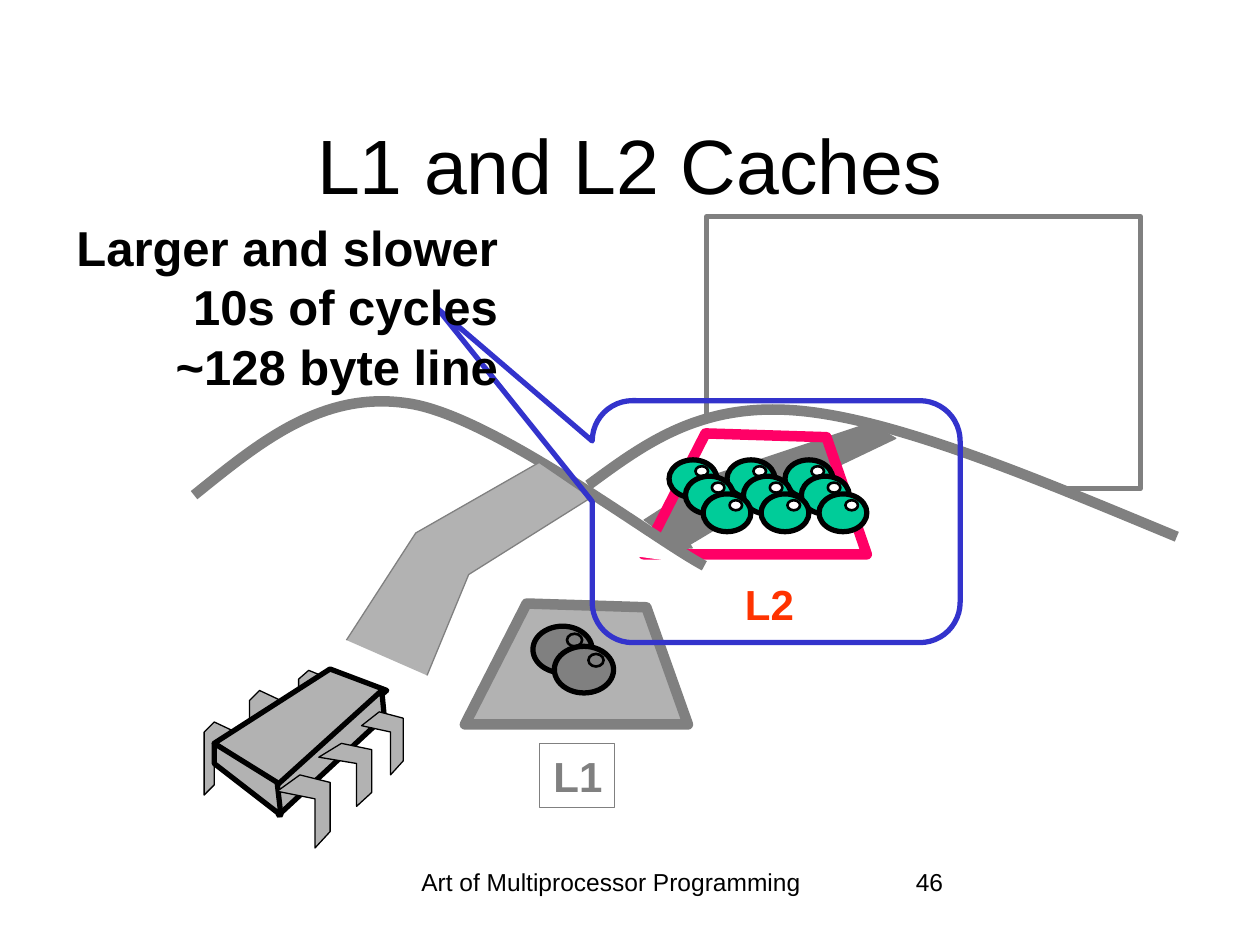
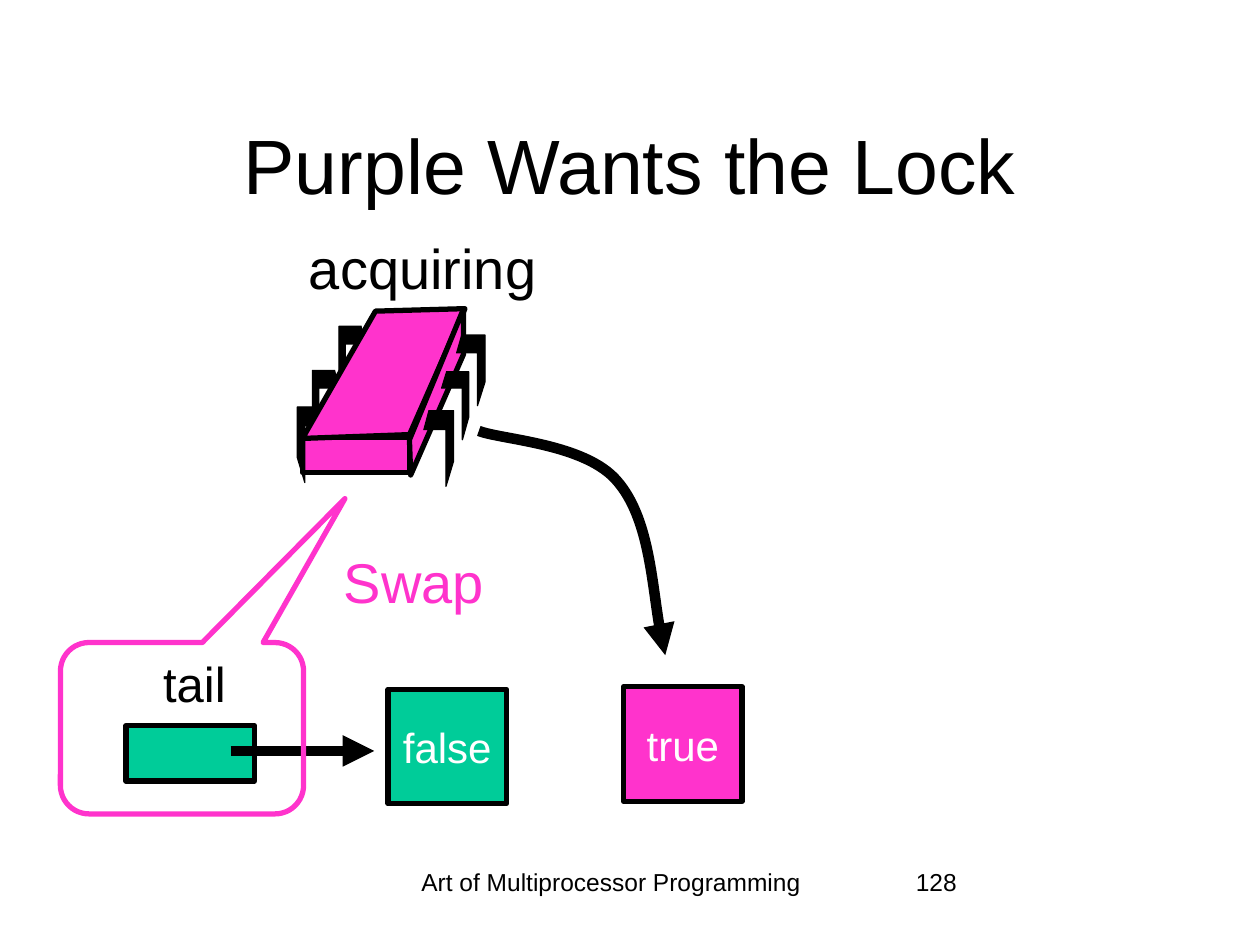
from dataclasses import dataclass
from typing import Any, NamedTuple

from lxml import etree
from pptx import Presentation
from pptx.dml.color import RGBColor
from pptx.enum.shapes import MSO_CONNECTOR, MSO_SHAPE
from pptx.enum.text import MSO_ANCHOR, MSO_AUTO_SIZE, PP_ALIGN
from pptx.oxml.ns import qn
from pptx.util import Pt

EMU_PER_PX = 9144
FONT = "Arial"
LINE_RATIO = 1.215
TITLE_ONLY = 5
LEFT, CENTER, RIGHT = PP_ALIGN.LEFT, PP_ALIGN.CENTER, PP_ALIGN.RIGHT
TOP, MIDDLE = MSO_ANCHOR.TOP, MSO_ANCHOR.MIDDLE
RECTANGLE, ELLIPSE = MSO_SHAPE.RECTANGLE, MSO_SHAPE.OVAL
CALLOUT = MSO_SHAPE.ROUNDED_RECTANGULAR_CALLOUT
STRAIGHT = MSO_CONNECTOR.STRAIGHT
COLORS = {
    "black": "000000",
    "white": "FFFFFF",
    "gray": "808080",
    "silver": "B2B2B2",
    "green": "00CC99",
    "purple": "FF33CC",
    "crimson": "FF0066",
    "red": "FF3300",
    "blue": "3333CC",
}

Points = list[tuple[int, int]]


class Box(NamedTuple):
    left: int
    top: int
    width: int
    height: int


class Leg(NamedTuple):
    x: int
    y: int
    x_scale: float = 1
    y_scale: float = 1


@dataclass(frozen=True)
class Chip:
    color: str
    leg_color: str
    legs_closed: bool
    back_leg: Points
    back_legs: list[Leg]
    faces: list[Points]
    front_leg: Points
    front_legs: list[Leg]


@dataclass(frozen=True)
class Ball:
    box: Box
    shine: Box
    color: str
    shine_color: str


SILVER_CHIP = Chip(
    color="silver",
    leg_color="silver",
    legs_closed=True,
    back_leg=[(0, 0), (-17, -8), (-25, 0), (-25, 50), (-17, 42), (-17, 9), (0, 17)],
    back_legs=[Leg(187, 581), Leg(223, 556), Leg(262, 539, 1, 0.84)],
    faces=[
        [(262, 531), (170, 590), (221, 624), (307, 548)],
        [(303, 548), (220, 623), (221, 647), (305, 569)],
        [(170, 590), (170, 606), (223, 647), (220, 621)],
    ],
    front_leg=[(0, 0), (-18, 13), (12, 19), (12, 58), (24, 45), (24, 6)],
    front_legs=[Leg(238, 615), Leg(271, 590, 1, 0.86), Leg(301, 565, 0.78, 0.86)],
)
PURPLE_LEG = [(0, 0), (20, 0), (20, 40), (14, 60), (14, 15), (-4, 15)]
PURPLE_CHIP = Chip(
    color="purple",
    leg_color="black",
    legs_closed=False,
    back_leg=PURPLE_LEG,
    back_legs=[Leg(255, 323, -0.95), Leg(266, 294, -0.9, 0.9), Leg(287, 259, -0.9, 0.93)],
    faces=[
        [(240, 348), (325, 345), (369, 245), (298, 247)],
        [(368, 245), (368, 281), (326, 377), (325, 349)],
    ],
    front_leg=PURPLE_LEG,
    front_legs=[Leg(340, 326), Leg(354, 295, 0.9, 0.9), Leg(366, 266, 0.95, 0.93)],
)


def px(value: int) -> int:
    return value * EMU_PER_PX


def rgb(color: str) -> RGBColor:
    return RGBColor.from_string(COLORS[color])


def write_text(shape: Any, text: str, *, size: int, color: str = "black",
               bold: bool = False, align: Any = LEFT, anchor: Any = TOP,
               wrap: bool = False) -> None:
    frame = shape.text_frame
    frame.text = text
    frame.word_wrap = wrap
    frame.auto_size = MSO_AUTO_SIZE.NONE
    frame.vertical_anchor = anchor
    for paragraph in frame.paragraphs:
        paragraph.alignment = align
        paragraph.line_spacing = Pt(size * LINE_RATIO)
        paragraph.font.name = FONT
        paragraph.font.size = Pt(size)
        paragraph.font.bold = bold
        paragraph.font.color.rgb = rgb(color)


def add_text(shapes: Any, box: Box, text: str, **text_format: Any) -> None:
    write_text(shapes.add_textbox(*map(px, box)), text, **text_format)


def set_line(shape: Any, color: str, width: float, arrow: bool = False) -> None:
    shape.line.color.rgb = rgb(color)
    shape.line.width = Pt(width)
    if arrow:
        outline = shape.element.spPr.find(qn("a:ln"))
        etree.SubElement(outline, qn("a:tailEnd"), type="triangle")


def paint(shape: Any, fill: str | None, line: str, width: float,
          arrow: bool = False) -> None:
    shape.shadow.inherit = False
    if fill:
        shape.fill.solid()
        shape.fill.fore_color.rgb = rgb(fill)
    else:
        shape.fill.background()
    set_line(shape, line, width, arrow)


def add_preset(shapes: Any, kind: Any, box: Box, fill: str | None, line: str,
               width: float = 3) -> Any:
    shape = shapes.add_shape(kind, *map(px, box))
    paint(shape, fill, line, width)
    return shape


def add_callout(shapes: Any, box: Box, line: str, tip: tuple[float, float]) -> None:
    callout = add_preset(shapes, CALLOUT, box, None, line)
    callout.adjustments[0], callout.adjustments[1] = tip


def add_outline(shapes: Any, points: Points, fill: str | None, line: str, width: float,
                closed: bool = True, arrow: bool = False) -> Any:
    builder = shapes.build_freeform(*points[0], scale=EMU_PER_PX)
    builder.add_line_segments(points[1:], close=closed)
    shape = builder.convert_to_shape()
    paint(shape, fill, line, width, arrow)
    return shape


def add_curve(shapes: Any, points: Points, fill: str | None, line: str,
              arrow: bool = False) -> None:
    shape = add_outline(shapes, points, fill, line, 6, closed=False, arrow=arrow)
    outline = next(shape.element.iter(qn("a:path")))
    segments = outline.findall(qn("a:lnTo"))
    for start in range(0, len(segments), 3):
        cubic = etree.SubElement(outline, qn("a:cubicBezTo"))
        for segment in segments[start:start + 3]:
            cubic.append(segment[0])
            outline.remove(segment)


def add_legs(shapes: Any, chip: Chip, leg_points: Points, legs: list[Leg]) -> None:
    for leg in legs:
        points = [(round(leg.x + x * leg.x_scale), round(leg.y + y * leg.y_scale))
                  for x, y in leg_points]
        add_outline(shapes, points, chip.leg_color, "black", 0.75, chip.legs_closed)


def add_chip(shapes: Any, chip: Chip) -> None:
    add_legs(shapes, chip, chip.back_leg, chip.back_legs)
    for face in chip.faces:
        add_outline(shapes, face, chip.color, "black", 3)
    add_legs(shapes, chip, chip.front_leg, chip.front_legs)


def add_ball(shapes: Any, ball: Ball) -> None:
    add_preset(shapes, ELLIPSE, ball.box, ball.color, "black")
    shine = ball.shine._replace(left=ball.box.left + ball.shine.left,
                                top=ball.box.top + ball.shine.top)
    add_preset(shapes, ELLIPSE, shine, ball.shine_color, "black", 1.5)


def add_titled_slide(presentation: Any, title: str, number: int) -> Any:
    slide = presentation.slides.add_slide(presentation.slide_layouts[TITLE_ONLY])
    heading = slide.shapes.title
    heading.left, heading.top, heading.width, heading.height = map(px, Box(75, 67, 850, 125))
    write_text(heading, title, size=44, align=CENTER, anchor=MIDDLE, wrap=True)
    add_text(slide.shapes, Box(289, 683, 392, 50), "Art of Multiprocessor Programming",
             size=14, align=CENTER, wrap=True)
    add_text(slide.shapes, Box(717, 683, 208, 50), str(number), size=14, wrap=True)
    return slide


def build_caches_slide(presentation: Any) -> None:
    shapes = add_titled_slide(presentation, "L1 and L2 Caches", 46).shapes
    add_preset(shapes, RECTANGLE, Box(561, 172, 344, 216), None, "gray")
    add_curve(shapes, [(467, 385), (512, 352), (556, 319), (634, 326),
                       (712, 333), (823, 380), (934, 426)], "white", "gray")
    add_outline(shapes, [(511, 413), (567, 377), (690, 336), (711, 348), (598, 402), (541, 436)],
                "gray", "gray", 0.75, closed=False, arrow=True)
    add_outline(shapes, [(560, 344), (511, 440), (688, 440), (656, 347)], None, "crimson", 6)
    add_chip(shapes.add_group_shape().shapes, SILVER_CHIP)
    add_curve(shapes, [(154, 393), (205, 352), (255, 310), (323, 320),
                       (390, 329), (519, 428), (559, 449)], "white", "gray")
    add_outline(shapes, [(275, 508), (330, 423), (428, 367), (469, 395), (372, 456), (339, 536)],
                "silver", "gray", 0.75, closed=False)
    add_outline(shapes, [(418, 479), (369, 575), (546, 575), (513, 482)], "silver", "gray", 6)

    small_cache = add_preset(shapes, RECTANGLE, Box(428, 590, 60, 51), None, "gray", 0.75)
    write_text(small_cache, "L1", size=24, color="gray", bold=True, align=RIGHT)
    add_text(shapes, Box(581, 454, 59, 50), "L2", size=24, color="red", bold=True, align=RIGHT)

    for left, top in [(423, 497), (440, 513)]:
        add_ball(shapes, Ball(Box(left, top, 47, 37), Box(27, 6, 12, 10), "gray", "gray"))
    large_cache = shapes.add_group_shape().shapes
    for row in range(3):
        shift = 27 * row // 2
        for column in range(3):
            box = Box(531 + 46 * column + shift, 365 + shift, 38, 30)
            add_ball(large_cache, Ball(box, Box(21, 5, 10, 8), "green", "white"))

    add_callout(shapes, Box(470, 318, 292, 192), "blue", (-0.92, -0.88))
    add_text(shapes, Box(43, 167, 362, 151),
             "Larger and slower\n10s of cycles\n~128 byte line",
             size=28, bold=True, align=RIGHT)


def build_lock_slide(presentation: Any) -> None:
    shapes = add_titled_slide(presentation, "Purple Wants the Lock", 128).shapes
    add_preset(shapes, RECTANGLE, Box(100, 576, 102, 44), "green", "black")
    nodes = [("false", Box(308, 547, 94, 91), "green"), ("true", Box(495, 545, 94, 91), "purple")]
    for label, box, color in nodes:
        node = add_preset(shapes, RECTANGLE, box, color, "black")
        write_text(node, label, size=24, color="white", align=CENTER, anchor=MIDDLE)

    tail_arrow = shapes.add_connector(STRAIGHT, *map(px, (183, 596, 297, 596)))
    set_line(tail_arrow, "black", 6, arrow=True)
    etree.SubElement(tail_arrow.element.spPr, qn("a:effectLst"))
    add_text(shapes, Box(118, 513, 71, 57), "tail", size=28, align=RIGHT)

    thread = shapes.add_group_shape().shapes
    add_preset(thread, RECTANGLE, Box(240, 347, 85, 28), "purple", "black")
    add_chip(thread, PURPLE_CHIP)
    add_text(thread, Box(233, 180, 205, 63), "acquiring", size=32, align=CENTER)

    add_callout(shapes, Box(48, 510, 193, 136), "purple", (0.67, -1.34))
    add_text(shapes, Box(262, 429, 132, 64), "Swap", size=32, color="purple", align=RIGHT)
    add_curve(shapes, [(380, 342), (398, 349), (465, 352), (490, 382),
                       (515, 411), (520, 491), (528, 520)], None, "black", arrow=True)


def main() -> None:
    presentation = Presentation()
    presentation.slide_width, presentation.slide_height = px(1000), px(750)
    build_caches_slide(presentation)
    build_lock_slide(presentation)
    presentation.save("out.pptx")


if __name__ == "__main__":
    main()
